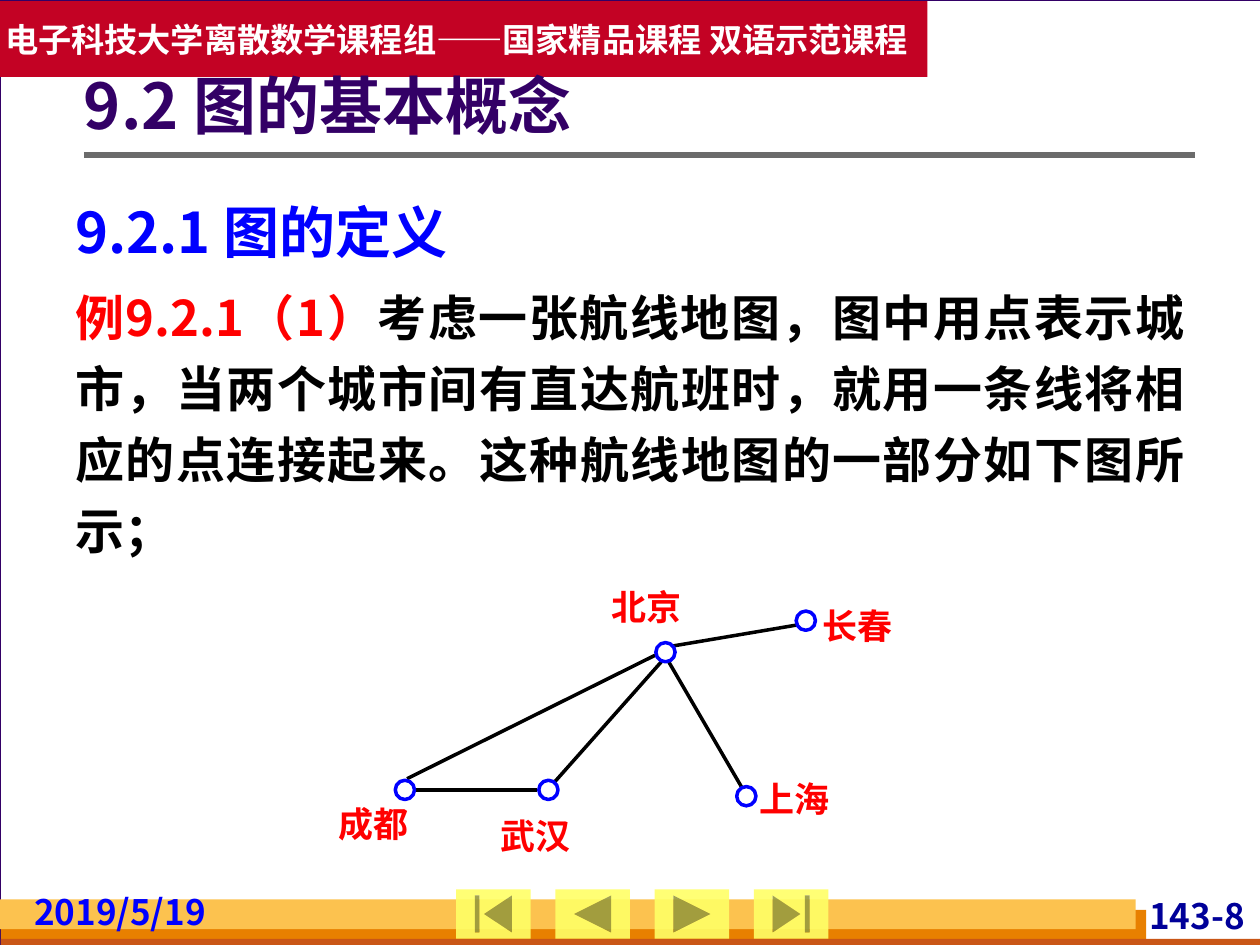
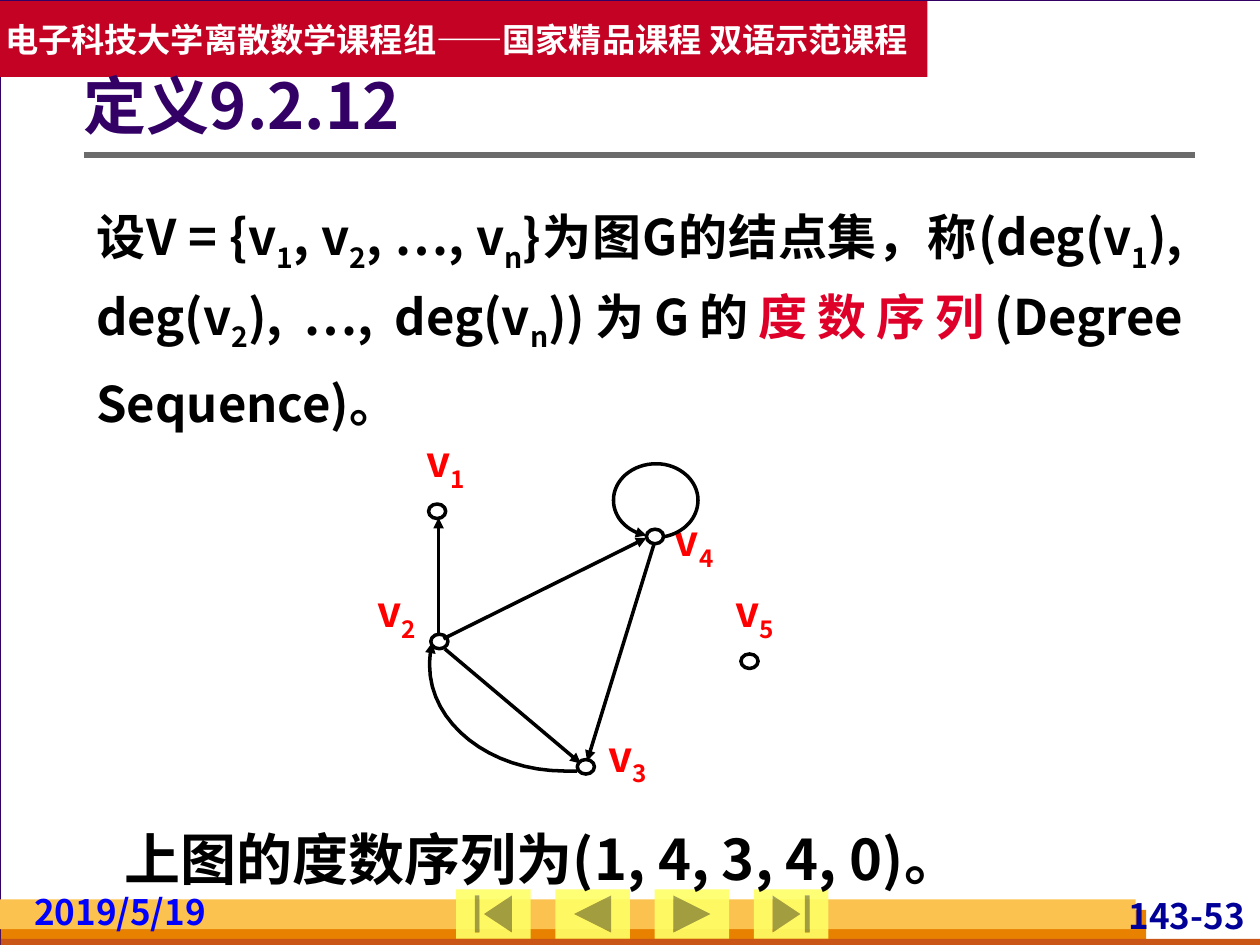
from pptx import Presentation
from pptx.dml.color import RGBColor
from pptx.enum import shapes, text
from pptx.oxml import ns
from pptx.util import Pt
from lxml import etree

BLACK = RGBColor(0, 0, 0)
WHITE = RGBColor(255, 255, 255)
RED = RGBColor(255, 0, 0)
BLUE = RGBColor(0, 0, 255)
NAVY = RGBColor(0, 0, 0x99)
PLUM = RGBColor(0x33, 0, 0x66)
ROSE = RGBColor(0xDF, 0, 0x29)
WINE = RGBColor(0xC3, 0x02, 0x24)
GRAY = RGBColor(0x6B, 0x6B, 0x6B)
PALE = RGBColor(0xD8, 0xDA, 0xDA)
GOLD = RGBColor(0xFC, 0xC2, 0x4F)
AMBER = RGBColor(0xE8, 0x80, 0)
RUST = RGBColor(0xC9, 0x56, 0x16)
LEMON = RGBColor(0xFF, 0xFF, 0x66)

SANS = "Noto Sans CJK SC"
SERIF = "Times New Roman"
KIND = shapes.MSO_SHAPE
ALIGN = text.PP_ALIGN
MIDDLE = text.MSO_ANCHOR.MIDDLE
BUTTONS = [
    KIND.ACTION_BUTTON_BEGINNING,
    KIND.ACTION_BUTTON_BACK_OR_PREVIOUS,
    KIND.ACTION_BUTTON_FORWARD_OR_NEXT,
    KIND.ACTION_BUTTON_END,
]


def add(node, tag, **attrs):
    return etree.SubElement(node, ns.qn(tag), attrs)


def curve(start, *bends, steps=16):
    points = [start]
    for bend in bends:
        knots = (points[-1], *bend)
        for step in range(1, steps + 1):
            t = step / steps
            parts = ((1 - t) ** 3, 3 * t * (1 - t) ** 2, 3 * t * t * (1 - t), t ** 3)
            points.append(tuple(
                sum(part * knot[axis] for part, knot in zip(parts, knots))
                for axis in (0, 1)))
    return points


class Deck:
    def __init__(self):
        self.show = Presentation()
        self.show.slide_width, self.show.slide_height = Pt(720), Pt(540)
        self.slide = None

    def shape(self, kind, box, fill, line=None, width=2, alpha=None):
        item = self.slide.shapes.add_shape(kind, *map(Pt, box))
        item.shadow.inherit = False
        item.fill.solid()
        item.fill.fore_color.rgb = fill
        if alpha:
            tint = item._element.spPr.find(".//" + ns.qn("a:srgbClr"))
            add(tint, "a:alpha", val=str(alpha * 1000))
        if line is None:
            item.line.fill.background()
        else:
            self.stroke(item, line, width)
        return item

    def stroke(self, item, color, width, arrow=False):
        item.line.color.rgb = color
        item.line.width = Pt(width)
        if arrow:
            add(item._element.spPr.find(ns.qn("a:ln")), "a:tailEnd", type="triangle")

    def line(self, start, end, color=BLACK, width=2, arrow=False):
        item = self.slide.shapes.add_connector(
            shapes.MSO_CONNECTOR.STRAIGHT, *map(Pt, (*start, *end)))
        self.stroke(item, color, width, arrow)
        add(item._element.spPr, "a:effectLst")

    def arc(self, points):
        start, *rest = [tuple(map(Pt, point)) for point in points]
        pen = self.slide.shapes.build_freeform(*start)
        pen.add_line_segments(rest, close=False)
        item = pen.convert_to_shape()
        item.shadow.inherit = False
        item.fill.background()
        self.stroke(item, BLACK, 2, arrow=True)

    def label(self, frame, runs, size, color, align=ALIGN.LEFT, space=None,
              before=0, font=SANS, first=True):
        para = frame.paragraphs[0] if first else frame.add_paragraph()
        para.alignment = align
        if space:
            para.line_spacing = space
        if before:
            para.space_before = Pt(before)
        for words, *mark in runs:
            run = para.add_run()
            run.text = words
            face = run.font
            face.size, face.bold, face.name = Pt(size), True, font
            face.color.rgb = color
            props = run._r.get_or_add_rPr()
            add(props, "a:ea", typeface=SANS)
            if "sub" in mark:
                props.set("baseline", "-25000")
            elif mark:
                face.color.rgb = mark[0]

    def frame(self, item, inset=(0, 0, 0, 0), wrap=True, anchor=None):
        frame = item.text_frame
        frame.word_wrap = wrap
        (frame.margin_left, frame.margin_top,
         frame.margin_right, frame.margin_bottom) = map(Pt, inset)
        if anchor is not None:
            frame.vertical_anchor = anchor
        return frame

    def box(self, box, inset=(7.2, 3.6, 7.2, 3.6), wrap=True, anchor=None):
        item = self.slide.shapes.add_textbox(*map(Pt, box))
        return self.frame(item, inset, wrap, anchor)

    def page(self, title, number):
        self.slide = self.show.slides.add_slide(self.show.slide_layouts[6])
        back = self.slide.background.fill
        back.solid()
        back.fore_color.rgb = PALE
        rect = KIND.RECTANGLE
        self.shape(rect, (0, 0, 720.5, 540), WHITE, PLUM, 0.75)
        self.shape(rect, (0.5, 520, 654.5, 20), AMBER)
        self.shape(rect, (0.5, 536.5, 720, 5.5), RUST)
        self.shape(rect, (0, 514, 649, 17), GOLD)
        small = (2.9, 0, 2.9, 0)
        self.label(self.box((626.4, 509.8, 87.8, 24), small),
                   [(number,)], 20, NAVY, ALIGN.RIGHT, Pt(25.5))
        self.line((48, 88.5), (683, 88.5), GRAY, 3)
        for spot, kind in enumerate(BUTTONS):
            self.shape(kind, (260.7 + 56.7 * spot, 508.2, 42.5, 28.2), LEMON, alpha=90)
        band = self.shape(rect, (0, 0.75, 530, 43.2), WINE)
        self.label(self.frame(band, (2.9, 3.6, 2.9, 3.6), False, MIDDLE),
                   [("电子科技大学离散数学课程组——国家精品课程 双语示范课程",)], 19, WHITE)
        self.label(self.box((16.6, 507.6, 119, 24), small),
                   [("2019/5/19",)], 20, BLUE, space=Pt(25.5))
        self.label(self.box((48, 26, 635, 72.7), (0, 3.6, 7.2, 3.6), anchor=MIDDLE),
                   [(title,)], 36, PLUM, space=0.9)


def flights(deck):
    deck.page("9.2 图的基本概念", "143-8")
    body = deck.box((36, 100, 648, 222))
    deck.label(body, [("9.2.1 图的定义",)], 32, BLUE, ALIGN.JUSTIFY, Pt(48))
    deck.label(body, [
        ("例9.2.1（1）", RED),
        ("考虑一张航线地图，图中用点表示城市，当两个城市间有直达航班时，"
         "就用一条线将相应的点连接起来。这种航线地图的一部分如下图所示；",),
    ], 28, BLACK, ALIGN.JUSTIFY, Pt(40.6), 5.6, first=False)
    routes = [
        ((383, 369.4), (455.8, 357.1)),
        ((374.4, 374.4), (232.6, 445)),
        ((306.7, 451.4), (236.2, 451.4)),
        ((378.7, 377.3), (315.4, 448.6)),
        ((381.6, 377.3), (427.7, 456.5)),
    ]
    for start, end in routes:
        deck.line(start, end)
    towns = [
        ("长春", (470.2, 343.4), (455, 349.2)),
        ("北京", (349.2, 332.6), (374.8, 367.2)),
        ("成都", (193.7, 456.5), (225.9, 445.9)),
        ("武汉", (285.8, 463.7), (307.9, 445.9)),
        ("上海", (434.2, 442.1), (421, 449.5)),
    ]
    for name, tag, dot in towns:
        deck.label(deck.box((*tag, 56.9, 24), (0, 0, 0, 0)), [(name,)], 20, RED,
                   ALIGN.JUSTIFY, Pt(26), font=SERIF)
        deck.shape(KIND.OVAL, (*dot, 11, 11), WHITE, BLUE)


def degrees(deck):
    deck.page("定义9.2.12", "143-53")
    body = deck.box((48, 107.5, 635, 128))
    deck.label(body, [
        ("设V = {v",), ("1", "sub"), (", v",), ("2", "sub"),
        (", …, v",), ("n", "sub"), ("}为图G的结点集，称(deg(v",), ("1", "sub"),
        ("), deg(v",), ("2", "sub"), ("), …, deg(v",), ("n", "sub"),
        ("))为G的",), ("度数序列", ROSE), ("(Degree Sequence)。",),
    ], 28, BLACK, ALIGN.JUSTIFY, Pt(45.4))
    nodes = [
        ((235.4, 247.7), (244.9, 288)),
        ((207.4, 333.4), (246.2, 362.4)),
        ((339.1, 416.2), (329.9, 434)),
        ((377.3, 293), (369.4, 302.4)),
        ((411.8, 333.4), (423.4, 373.7)),
    ]
    for index, (tag, dot) in enumerate(nodes, 1):
        deck.shape(KIND.OVAL, (*dot, 9.8, 8.3), WHITE, BLACK)
        deck.label(deck.box((*tag, 38.9, 41), (0, 0, 0, 0)),
                   [("v",), (str(index), "sub")], 24, RED, ALIGN.CENTER, Pt(34))
    edges = [
        ((254.2, 370.8), (331.9, 436.3)),
        ((253.4, 365), (369.4, 307.4)),
        ((373.7, 311), (335.5, 434.9)),
        ((250.6, 362.2), (250.6, 295.9)),
    ]
    for start, end in edges:
        deck.line(start, end, arrow=True)
    deck.arc(curve(
        (329.8, 440.6),
        ((327.6, 440.6), (324.7, 440.6), (322.6, 440.6)),
        ((280, 440.6), (245.5, 413.3), (245.5, 380.2)),
        ((245.5, 375.8), (246.2, 370.8), (247, 367.2))))
    deck.arc(curve(
        (379.4, 306.7),
        ((391, 304.6), (398.9, 295.9), (398.9, 285.8)),
        ((398.9, 274.3), (388, 265), (375.1, 265)),
        ((361.4, 265), (350.6, 274.3), (350.6, 285.8)),
        ((350.6, 295.9), (358.6, 303.8), (369.4, 306))))
    deck.label(deck.box((64, 457.5, 546, 53), wrap=False),
               [("上图的度数序列为(1, 4, 3, 4, 0)。",)], 32, BLACK, space=Pt(48.5))


def main():
    deck = Deck()
    flights(deck)
    degrees(deck)
    deck.show.save("out.pptx")


if __name__ == "__main__":
    main()
